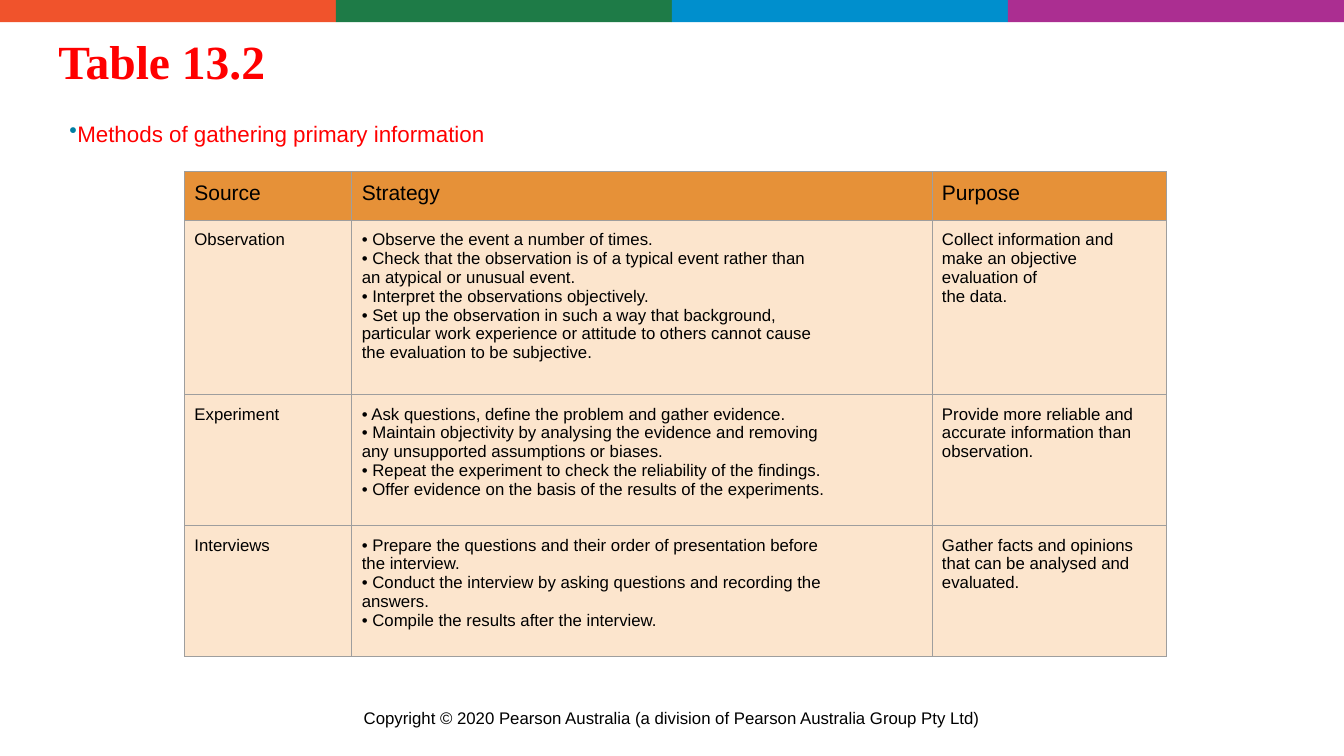
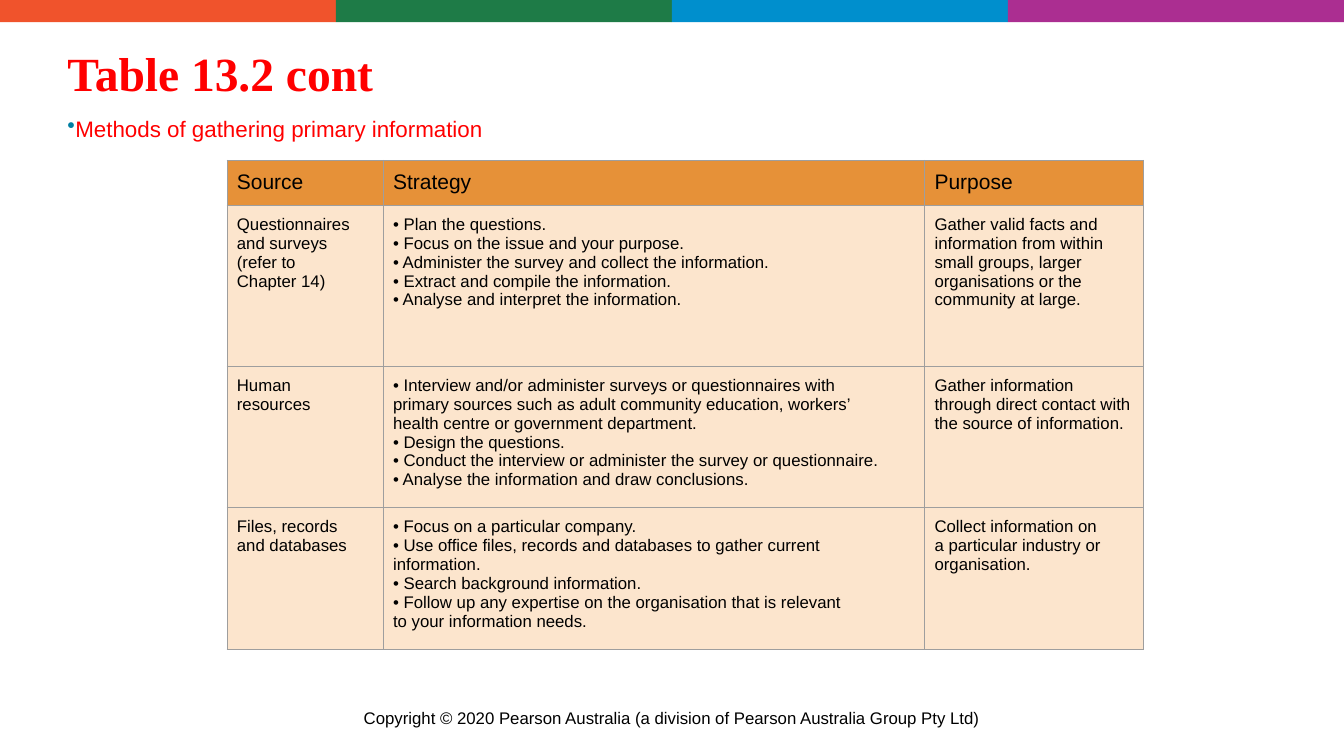
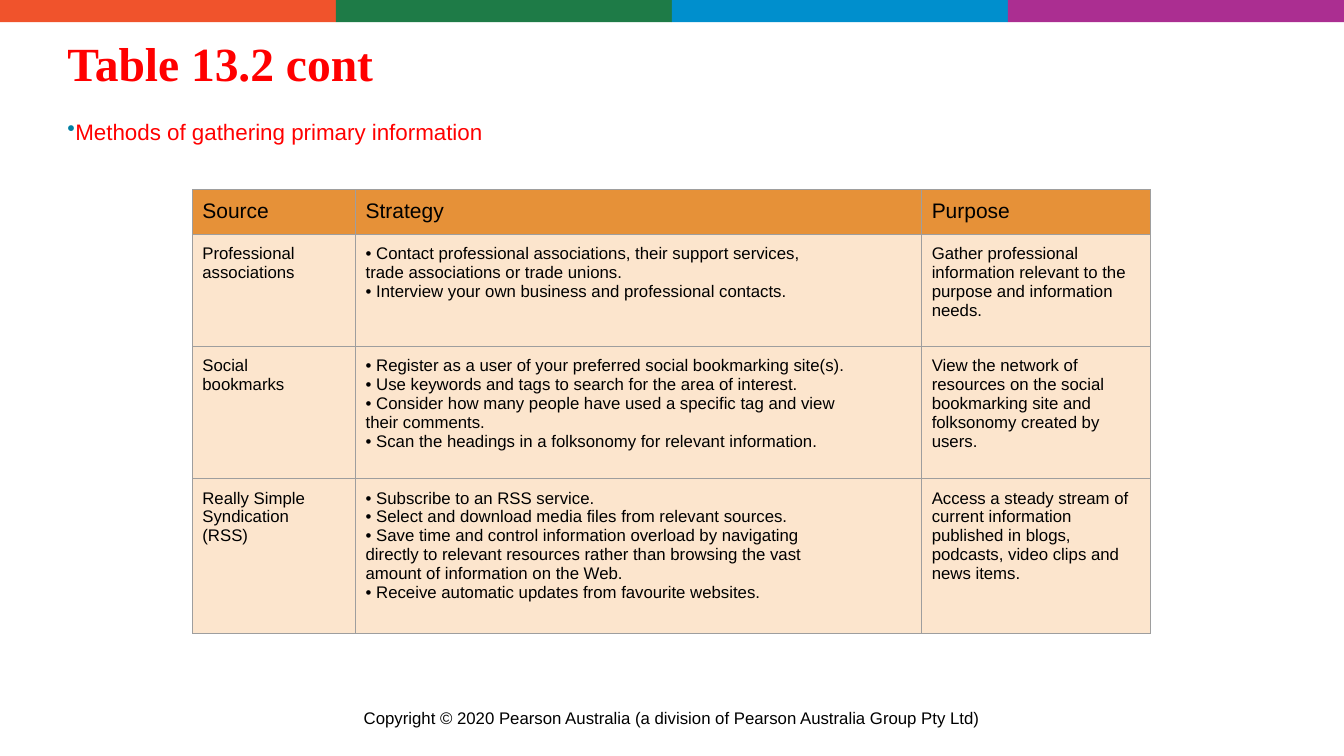
import pptx
import pptx.dml.color
import pptx.enum.shapes
import pptx.enum.text
import pptx.oxml
import pptx.oxml.ns
import pptx.util

Cm = pptx.util.Cm
Pt = pptx.util.Pt
RGBColor = pptx.dml.color.RGBColor
PP_ALIGN = pptx.enum.text.PP_ALIGN
MSO_ANCHOR = pptx.enum.text.MSO_ANCHOR

ORANGE = RGBColor(0xF0, 0x53, 0x2C)
GREEN = RGBColor(0x1E, 0x7B, 0x47)
BLUE = RGBColor(0x00, 0x8F, 0xCD)
PURPLE = RGBColor(0xAB, 0x2E, 0x91)
RED = RGBColor(0xFF, 0x00, 0x00)
BLACK = RGBColor(0x00, 0x00, 0x00)
TEAL = RGBColor(0x00, 0x7F, 0xA3)
HEADER_FILL = RGBColor(0xE6, 0x91, 0x38)
BODY_FILL = RGBColor(0xFC, 0xE5, 0xCD)
BORDER = RGBColor(0x9E, 0x9E, 0x9E)

SLIDE_WIDTH, SLIDE_HEIGHT = 33.87, 19.05
BAND_HEIGHT = 0.56
BAND_COLOURS = (ORANGE, GREEN, BLUE, PURPLE)
FOOTER_BOX = (8.86, 17.7, 16.15, 1.19)
HEADING_SIZE = (30.48, 3.05)
SUBTITLE_SIZE = (30.48, 1)
COLUMN_PERCENTS = (17.05, 59.1, 23.85)

HEADING_FONT = {"name": "Times New Roman", "size": Pt(34), "bold": True, "color": RED}
SUBTITLE_FONT = {"name": "Arial", "size": Pt(16), "color": RED}
COLUMN_HEAD_FONT = {"name": "Arial", "size": Pt(15), "bold": False, "color": BLACK}
SMALL_FONT = {"name": "Arial", "size": Pt(12), "bold": False, "color": BLACK}

NO_MARGINS = dict.fromkeys(("margin_left", "margin_top", "margin_right", "margin_bottom"), 0)
CELL_MARGINS = dict.fromkeys(NO_MARGINS, Cm(0.25))

COPYRIGHT = "Copyright © 2020 Pearson Australia (a division of Pearson Australia Group Pty Ltd)"
SUBTITLE = "Methods of gathering primary information"
COLUMN_HEADS = ("Source", "Strategy", "Purpose")

SLIDES = (
    {
        "heading": "Table 13.2",
        "heading_at": (1.47, -0.81),
        "subtitle_at": (1.75, 3.02),
        "table_box": (4.65, 4.32, 24.74),
        "row_heights": (1.24, 4.39, 3.3, 3.3),
        "methods": (
            (
                "Observation",
                "• Observe the event a number of times.\n"
                "• Check that the observation is of a typical event rather than\n"
                "an atypical or unusual event.\n"
                "• Interpret the observations objectively.\n"
                "• Set up the observation in such a way that background,\n"
                "particular work experience or attitude to others cannot cause\n"
                "the evaluation to be subjective.",
                "Collect information and make an objective evaluation of\nthe data.",
            ),
            (
                "Experiment",
                "• Ask questions, define the problem and gather evidence.\n"
                "• Maintain objectivity by analysing the evidence and removing\n"
                "any unsupported assumptions or biases.\n"
                "• Repeat the experiment to check the reliability of the findings.\n"
                "• Offer evidence on the basis of the results of the experiments.",
                "Provide more reliable and\naccurate information than\nobservation.",
            ),
            (
                "Interviews",
                "• Prepare the questions and their order of presentation before\n"
                "the interview.\n"
                "• Conduct the interview by asking questions and recording the\n"
                "answers.\n"
                "• Compile the results after the interview.",
                "Gather facts and opinions\nthat can be analysed and\nevaluated.",
            ),
        ),
    },
    {
        "heading": "Table 13.2 cont",
        "heading_at": (1.7, -0.51),
        "subtitle_at": (1.7, 2.9),
        "table_box": (5.72, 4.04, 23.09),
        "row_heights": (1.12, 4.06, 3.56, 3.56),
        "methods": (
            (
                "Questionnaires\nand surveys\n(refer to\nChapter 14)",
                "• Plan the questions.\n"
                "• Focus on the issue and your purpose.\n"
                "• Administer the survey and collect the information.\n"
                "• Extract and compile the information.\n"
                "• Analyse and interpret the information.",
                "Gather valid facts and\n"
                "information from within small groups, larger organisations "
                "or the community at large.",
            ),
            (
                "Human\nresources",
                "• Interview and/or administer surveys or questionnaires with\n"
                "primary sources such as adult community education, workers’\n"
                "health centre or government department.\n"
                "• Design the questions.\n"
                "• Conduct the interview or administer the survey or questionnaire.\n"
                "• Analyse the information and draw conclusions.",
                "Gather information through direct contact with the source of information.",
            ),
            (
                "Files, records\nand databases",
                "• Focus on a particular company.\n"
                "• Use office files, records and databases to gather current\n"
                "information.\n"
                "• Search background information.\n"
                "• Follow up any expertise on the organisation that is relevant\n"
                "to your information needs.",
                "Collect information on\na particular industry or\norganisation.",
            ),
        ),
    },
    {
        "heading": "Table 13.2 cont",
        "heading_at": (1.7, -0.76),
        "subtitle_at": (1.7, 2.97),
        "table_box": (4.85, 4.78, 24.14),
        "row_heights": (1.04, 2.82, 3.33, 3.89),
        "methods": (
            (
                "Professional\nassociations",
                "• Contact professional associations, their support services,\n"
                "trade associations or trade unions.\n"
                "• Interview your own business and professional contacts.",
                "Gather professional\ninformation relevant to the\npurpose and information\nneeds.",
            ),
            (
                "Social\nbookmarks",
                "• Register as a user of your preferred social bookmarking site(s).\n"
                "• Use keywords and tags to search for the area of interest.\n"
                "• Consider how many people have used a specific tag and view\n"
                "their comments.\n"
                "• Scan the headings in a folksonomy for relevant information.",
                "View the network of\nresources on the social\nbookmarking site and\n"
                "folksonomy created by users.",
            ),
            (
                "Really Simple\nSyndication\n(RSS)",
                "• Subscribe to an RSS service.\n"
                "• Select and download media files from relevant sources.\n"
                "• Save time and control information overload by navigating\n"
                "directly to relevant resources rather than browsing the vast\n"
                "amount of information on the Web.\n"
                "• Receive automatic updates from favourite websites.",
                "Access a steady stream of\n"
                "current information published in blogs, podcasts, video clips and news items.",
            ),
        ),
    },
)


def apply(target, values):
    """Set each named attribute of the target."""
    for name, value in values.items():
        setattr(target, name, value)


def write(frame, text, font, align=PP_ALIGN.LEFT):
    """Fill a text frame, one paragraph a line, in one font."""
    frame.text = text
    for paragraph in frame.paragraphs:
        paragraph.alignment = align
        for run in paragraph.runs:
            apply(run.font, {name: value for name, value in font.items() if name != "color"})
            run.font.color.rgb = font["color"]


def add_xml(parent, tag, content="", attributes=""):
    """Append one DrawingML element to the parent."""
    namespace = pptx.oxml.ns.nsdecls("a")
    parent.append(pptx.oxml.parse_xml(f"<a:{tag} {namespace} {attributes}>{content}</a:{tag}>"))


def furnish_layout(layout, slide):
    """Give the layout the colour bands and the copyright footer."""
    for placeholder in list(layout.placeholders):
        if placeholder.placeholder_format.idx:
            layout.shapes.element.remove(placeholder.element)
    band_width = SLIDE_WIDTH / len(BAND_COLOURS)
    furniture = []
    for index, colour in enumerate(BAND_COLOURS):
        band = slide.shapes.add_shape(
            pptx.enum.shapes.MSO_SHAPE.RECTANGLE,
            Cm(index * band_width), 0, Cm(band_width), Cm(BAND_HEIGHT),
        )
        band.shadow.inherit = False
        band.fill.solid()
        band.fill.fore_color.rgb = colour
        band.line.fill.background()
        furniture.append(band)
    footer = slide.shapes.add_textbox(*map(Cm, FOOTER_BOX))
    footer.text_frame.word_wrap = True
    write(footer.text_frame, COPYRIGHT, SMALL_FONT, PP_ALIGN.CENTER)
    furniture.append(footer)
    for part in furniture:
        layout.shapes.element.append(part.element)


def place_heading(slide, text, left, top):
    """Move and format the title placeholder."""
    heading = slide.shapes.title
    width, height = HEADING_SIZE
    apply(heading, {"left": Cm(left), "top": Cm(top), "width": Cm(width), "height": Cm(height)})
    apply(heading.text_frame, {
        **NO_MARGINS,
        "word_wrap": True,
        "auto_size": pptx.enum.text.MSO_AUTO_SIZE.NONE,
        "vertical_anchor": MSO_ANCHOR.BOTTOM,
    })
    write(heading.text_frame, text, HEADING_FONT)


def place_subtitle(slide, left, top):
    """Add the bulleted line under the heading."""
    subtitle = slide.shapes.add_textbox(*map(Cm, (left, top, *SUBTITLE_SIZE)))
    apply(subtitle.text_frame, {**NO_MARGINS, "word_wrap": True})
    write(subtitle.text_frame, SUBTITLE, SUBTITLE_FONT)
    properties = subtitle.text_frame.paragraphs[0].runs[0].font
    properties.bold = False
    bullet_place = subtitle.text_frame.paragraphs[0]
    layout_of_line = bullet_place.alignment and subtitle.element.xpath(".//a:pPr")[0]
    add_xml(layout_of_line, "buClr", f'<a:srgbClr val="{TEAL}"/>')
    add_xml(layout_of_line, "buChar", attributes='char="•"')


def format_cell(cell, text, font, fill):
    """Write one table cell with its borders and fill."""
    apply(cell, {**CELL_MARGINS, "vertical_anchor": MSO_ANCHOR.TOP})
    write(cell.text_frame, text, font)
    line = f'<a:solidFill><a:srgbClr val="{BORDER}"/></a:solidFill>'
    for side in ("lnL", "lnR", "lnT", "lnB"):
        add_xml(cell.element_properties if hasattr(cell, "element_properties")
                else cell.text_frame._txBody.getparent().get_or_add_tcPr(),
                side, line, f'w="{Pt(0.75)}"')
    cell.fill.solid()
    cell.fill.fore_color.rgb = fill


def place_methods(slide, box, row_heights, methods):
    """Add the table of methods in the given left, top and width."""
    left, top, width = box
    rows = (COLUMN_HEADS, *methods)
    table = slide.shapes.add_table(
        len(rows), len(COLUMN_HEADS), Cm(left), Cm(top), Cm(width), Cm(sum(row_heights))
    ).table
    apply(table, {"first_row": False, "horz_banding": False})
    for column, percent in zip(table.columns, COLUMN_PERCENTS):
        column.width = Cm(width * percent / 100)
    for index, (row, height, texts) in enumerate(zip(table.rows, row_heights, rows)):
        row.height = Cm(height)
        font, fill = (SMALL_FONT, BODY_FILL) if index else (COLUMN_HEAD_FONT, HEADER_FILL)
        for cell, text in zip(row.cells, texts):
            format_cell(cell, text, font, fill)


def main():
    """Build the presentation and save it."""
    deck = pptx.Presentation()
    apply(deck, {"slide_width": Cm(SLIDE_WIDTH), "slide_height": Cm(SLIDE_HEIGHT)})
    layout = deck.slide_layouts[5]
    for index, content in enumerate(SLIDES):
        slide = deck.slides.add_slide(layout)
        if index == 0:
            furnish_layout(layout, slide)
        place_heading(slide, content["heading"], *content["heading_at"])
        place_subtitle(slide, *content["subtitle_at"])
        place_methods(slide, content["table_box"], content["row_heights"], content["methods"])
    deck.save("out.pptx")


if __name__ == "__main__":
    main()
